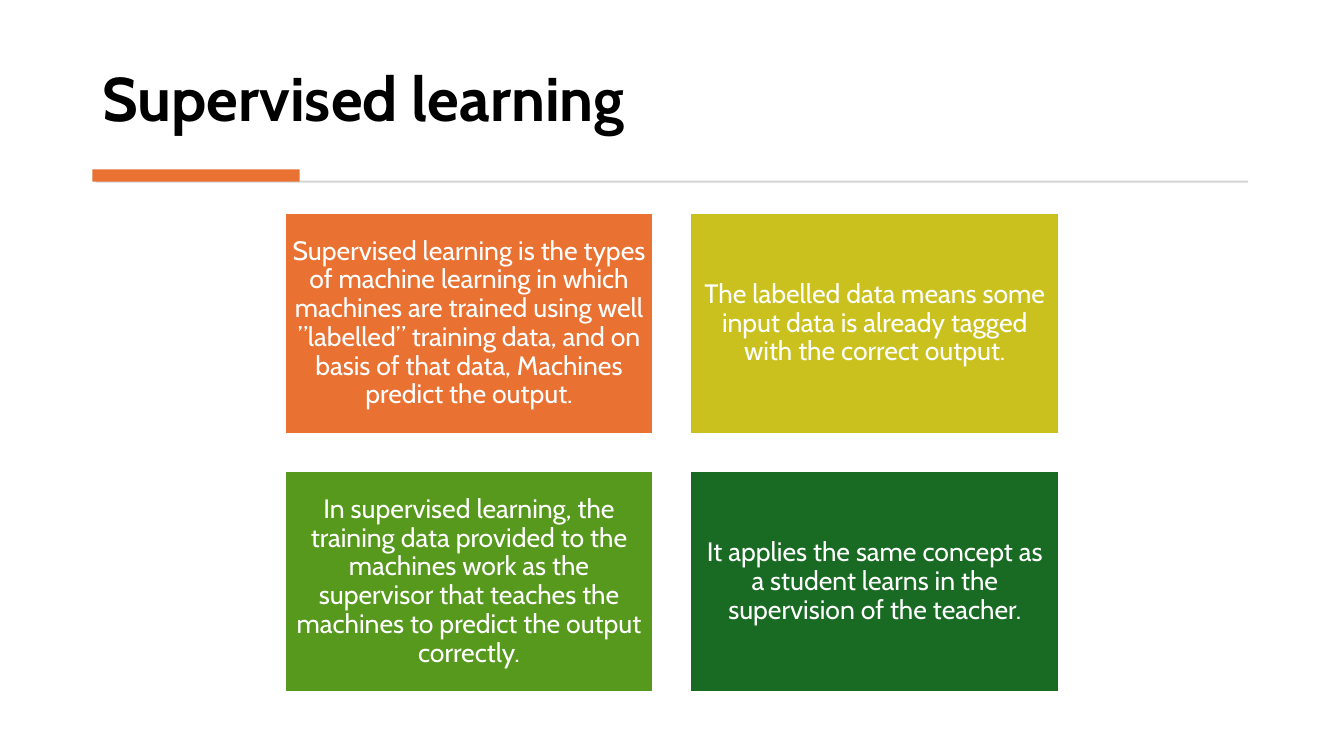
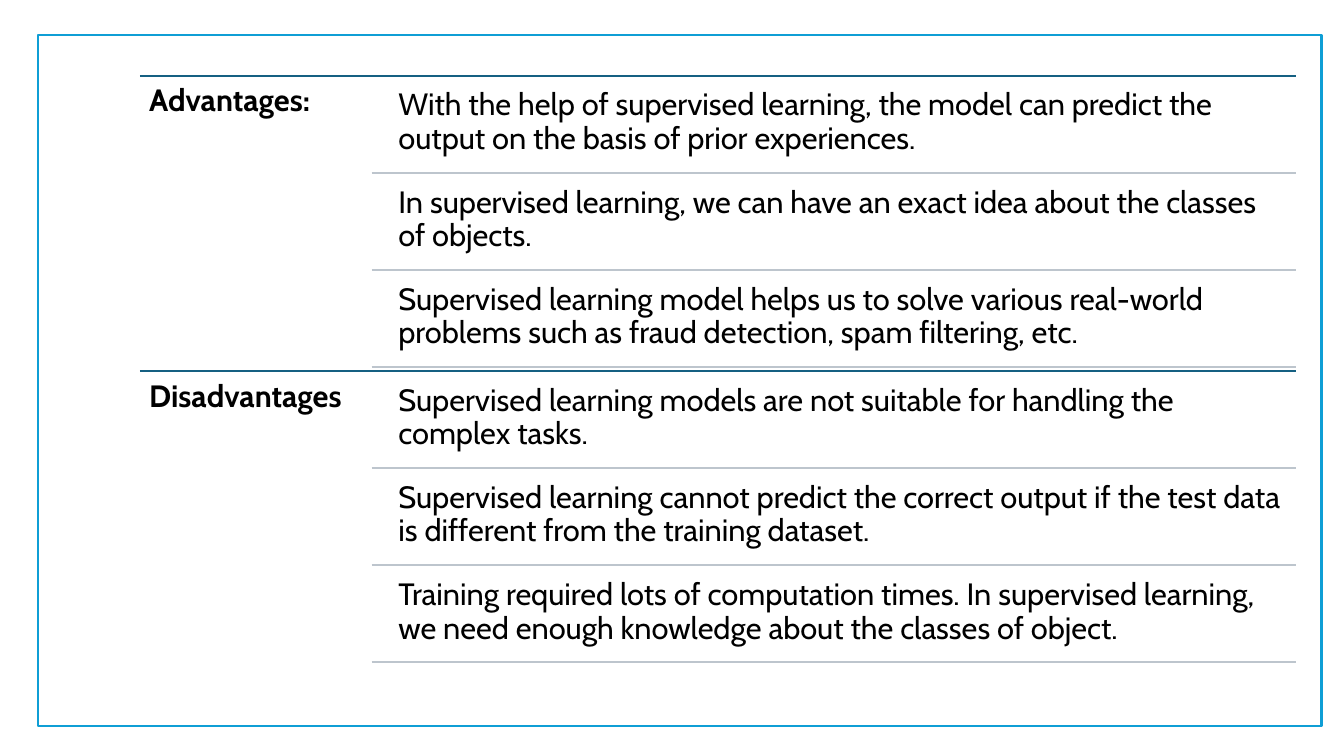
from dataclasses import dataclass

from lxml.etree import SubElement
from pptx import Presentation
from pptx.dml.color import RGBColor
from pptx.enum.shapes import MSO_CONNECTOR, MSO_SHAPE
from pptx.enum.text import MSO_ANCHOR, PP_ALIGN
from pptx.oxml.ns import qn
from pptx.util import Pt


@dataclass(frozen=True)
class Theme:
    font: str = "Cabin"
    paper: str = "FFFFFF"
    ink: str = "000000"
    accent: str = "E97132"
    hairline: str = "D5D5D5"
    frame: str = "0F9ED5"
    section_rule: str = "156082"
    row_rule: str = "BDC5CD"
    cards: tuple = ("E97132", "CBC11E", "56991D", "196B24")
    title_size: float = 44
    card_size: float = 19
    row_size: float = 22
    line_width: float = 1.5
    line_spacing: float = 0.9


class Deck:
    def __init__(self, theme):
        self.theme = theme
        self.prs = Presentation()
        self.prs.slide_width = Pt(960)
        self.prs.slide_height = Pt(540)
        self.s = None

    def slide(self):
        self.s = self.prs.slides.add_slide(self.prs.slide_layouts[6])
        fill = self.s.background.fill
        fill.solid()
        fill.fore_color.rgb = RGBColor.from_string(self.theme.paper)

    def set_text(self, sp, text, size, color, bold=False, align=PP_ALIGN.LEFT,
                 anchor=MSO_ANCHOR.TOP, inset=(7.2, 3.6)):
        tf = sp.text_frame
        tf.word_wrap = True
        tf.vertical_anchor = anchor
        tf.margin_left = tf.margin_right = Pt(inset[0])
        tf.margin_top = tf.margin_bottom = Pt(inset[1])
        p = tf.paragraphs[0]
        p.text = text
        p.alignment = align
        p.line_spacing = self.theme.line_spacing
        p.font.name = self.theme.font
        p.font.size = Pt(size)
        p.font.bold = bold
        p.font.color.rgb = RGBColor.from_string(color)

    def rect(self, x, y, w, h, fill, line=None):
        sp = self.s.shapes.add_shape(MSO_SHAPE.RECTANGLE, Pt(x), Pt(y), Pt(w), Pt(h))
        sp.shadow.inherit = False
        sp.fill.solid()
        sp.fill.fore_color.rgb = RGBColor.from_string(fill)
        if line:
            sp.line.color.rgb = RGBColor.from_string(line)
            sp.line.width = Pt(self.theme.line_width)
        else:
            sp.line.fill.background()
        return sp

    def text(self, x, y, w, h, text, size, **style):
        sp = self.s.shapes.add_textbox(Pt(x), Pt(y), Pt(w), Pt(h))
        self.set_text(sp, text, size, self.theme.ink, **style)

    def rule(self, x1, x2, y, color):
        line = self.s.shapes.add_connector(
            MSO_CONNECTOR.STRAIGHT, Pt(x1), Pt(y), Pt(x2), Pt(y))
        line.line.color.rgb = RGBColor.from_string(color)
        line.line.width = Pt(self.theme.line_width)
        SubElement(line._element.spPr, qn("a:effectLst"))

    def title(self, text):
        self.text(66, 20, 828, 80, text, self.theme.title_size,
                  bold=True, anchor=MSO_ANCHOR.BOTTOM)
        self.rect(68.5, 129, 823, 1.4, self.theme.hairline)
        self.rect(66, 121, 148, 8.8, self.theme.accent)

    def card(self, x, y, w, h, text, fill):
        sp = self.rect(x, y, w, h, fill, self.theme.paper)
        self.set_text(sp, text, self.theme.card_size, self.theme.paper,
                      align=PP_ALIGN.CENTER, anchor=MSO_ANCHOR.MIDDLE, inset=(5.7, 5.7))

    def section(self, y, heading, rows):
        left, right, rule_left, row_left = 100, 926, 265.5, 278
        row_h, gap = 66, 3.3
        size, inset = self.theme.row_size, (6.6, 6.6)
        height = len(rows) * (row_h + gap) + gap
        self.rule(left, right, y, self.theme.section_rule)
        self.text(left, y, rule_left - left, height, heading, size, bold=True, inset=inset)
        for i, row in enumerate(rows):
            top = y + gap + i * (row_h + gap)
            self.text(row_left, top, right - row_left, row_h, row, size, inset=inset)
            self.rule(rule_left, right, top + row_h, self.theme.row_rule)
        return y + height


CARDS = (
    "Supervised learning is the types of machine learning in which machines are trained "
    "using well ”labelled” training data, and on basis of that data, Machines predict the output.",
    "The labelled data means some input data is already tagged with the correct output.",
    "In supervised learning, the training data provided to the machines work as the "
    "supervisor that teaches the machines to predict the output correctly.",
    "It applies the same concept as a student learns in the supervision of the teacher.",
)

SECTIONS = (
    ("Advantages:", (
        "With the help of supervised learning, the model can predict the output on the "
        "basis of prior experiences.",
        "In supervised learning, we can have an exact idea about the classes of objects.",
        "Supervised learning model helps us to solve various real-world problems such as "
        "fraud detection, spam filtering, etc.",
    )),
    ("Disadvantages", (
        "Supervised learning models are not suitable for handling the complex tasks.",
        "Supervised learning cannot predict the correct output if the test data is "
        "different from the training dataset.",
        "Training required lots of computation times. In supervised learning, we need "
        "enough knowledge about the classes of object.",
    )),
)


def main():
    theme = Theme()
    deck = Deck(theme)

    deck.slide()
    deck.title("Supervised learning")
    w, h, gap = 263.5, 158.1, 26.35
    for i, (text, fill) in enumerate(zip(CARDS, theme.cards)):
        row, col = divmod(i, 2)
        deck.card(203.3 + col * (w + gap), 152 + row * (h + gap), w, h, text, fill)

    deck.slide()
    deck.rect(27.4, 25.2, 916.6, 493.2, theme.paper, theme.frame)
    y = 54
    for heading, rows in SECTIONS:
        y = deck.section(y, heading, rows)

    deck.prs.save("out.pptx")


if __name__ == "__main__":
    main()
